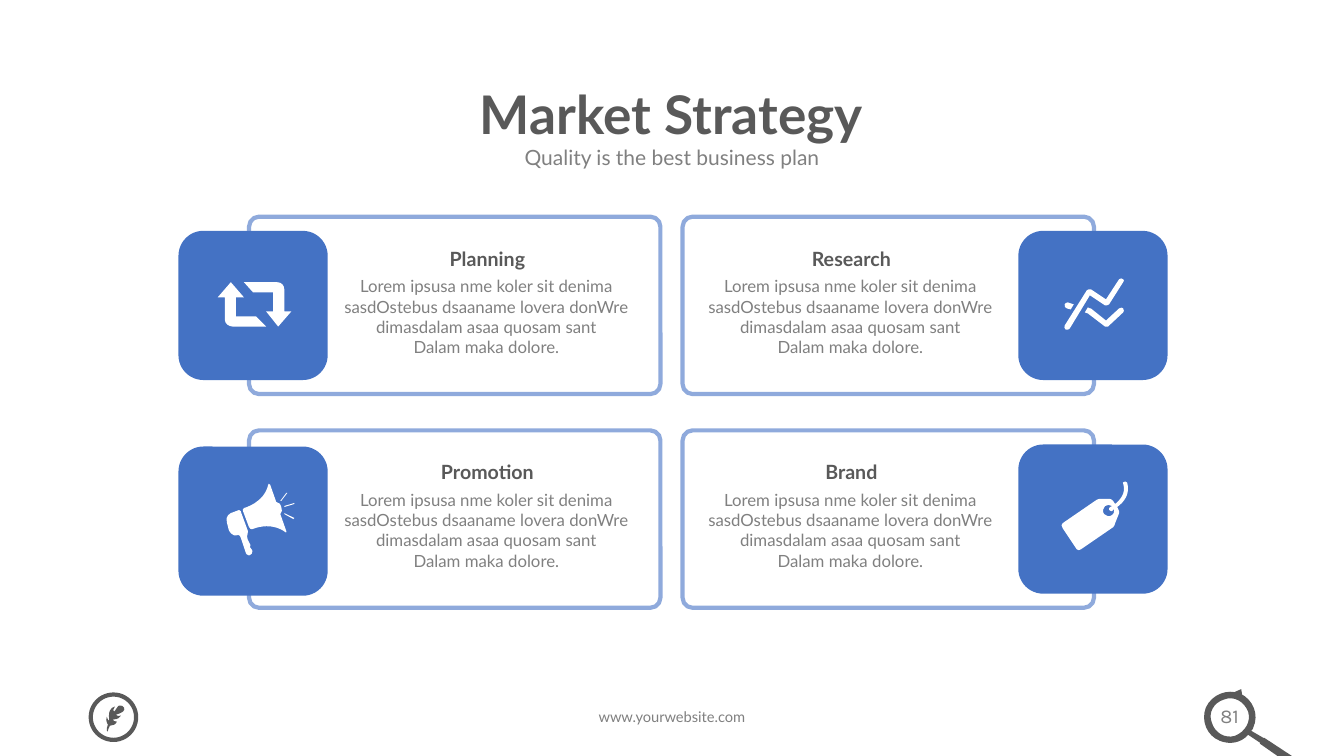
import pptx
import pptx.util
import pptx.dml.color
import pptx.enum.shapes
import pptx.enum.text
import pptx.oxml.ns

Inches = pptx.util.Inches
RGBColor = pptx.dml.color.RGBColor
SHAPE = pptx.enum.shapes.MSO_SHAPE
ANCHOR = pptx.enum.text.MSO_ANCHOR

BLUE = RGBColor(0x44, 0x72, 0xC4)
PALE = RGBColor(0x8F, 0xAA, 0xDC)
DARK = RGBColor(0x59, 0x59, 0x59)
GRAY = RGBColor(0x80, 0x80, 0x80)
WHITE = RGBColor(0xFF, 0xFF, 0xFF)

# Outlines in hundredths of an inch from the corner of their box.
# M starts a closed loop, L adds lines, C adds a cubic curve.
CYCLE = (
    "M 105 80 L 105 58 C 105 54 102 51 98 51 L 65 51 74 61 94 61 94 80 87 80 99 95 112 80 "
    "M 57 85 L 57 66 65 66 52 51 39 66 46 66 46 88 C 46 92 50 95 54 95 L 87 95 77 85",
)
TREND = (
    "M 71 64 L 86 74 C 87 74 89 74 90 73 L 104 51 C 105 50 105 49 104 48 "
    "C 103 47 101 47 100 48 L 87 68 72 58 C 72 58 71 58 70 58 C 69 58 69 59 68 59 "
    "L 46 94 C 45 95 46 97 47 98 C 48 98 48 98 49 98 C 49 98 50 98 51 97 "
    "M 100 77 L 87 89 72 77 71 77 69 76 66 81 69 82 86 95 89 95 104 81 "
    "C 105 80 105 79 104 77 C 103 76 102 76 100 77 "
    "M 48 77 L 52 78 55 73 49 71 C 48 71 46 72 46 73 C 46 75 46 76 48 77",
)
HORN = (
    "M 68 89 C 68 89 69 86 69 84 L 62 65 C 62 65 62 63 60 63 L 52 66 "
    "C 52 66 46 69 48 75 L 50 83 C 50 83 53 90 59 88 C 59 88 61 87 62 91 L 67 106 "
    "C 67 106 68 108 70 108 C 70 108 77 106 71 100 C 73 97 68 94 68 89",
    "M 101 67 C 103 65 103 63 102 60 C 102 57 100 56 97 55 L 91 38 "
    "C 90 35 89 38 89 38 C 85 56 65 61 65 61 C 63 62 64 64 64 64 L 70 80 "
    "C 70 82 73 82 73 82 C 94 74 106 85 106 85 C 106 85 108 86 107 84",
    "M 108 46 L 107 46 101 54 102 54",
    "M 105 67 L 114 72 115 71 105 66",
    "M 105 60 L 115 57 115 56 105 59",
)
TAG = (
    "M 93 70 C 90 72 87 71 85 69 C 83 66 84 63 86 61 C 88 59 91 60 93 61 "
    "C 92 62 91 62 91 62 C 90 62 90 64 90 65 C 91 65 91 66 92 66 L 93 66 "
    "C 94 65 94 65 95 64 C 95 67 95 69 93 70 "
    "M 108 38 C 107 37 106 36 105 37 C 104 37 103 38 104 39 C 107 48 101 55 96 59 "
    "L 94 56 C 93 55 92 54 91 54 L 80 54 C 79 54 77 55 76 56 L 44 78 "
    "C 43 79 42 81 44 83 L 58 104 C 59 105 61 105 62 104 L 94 82 "
    "C 95 81 96 79 96 78 L 100 68 C 100 67 100 65 99 64 L 98 62 C 105 57 111 49 108 38",
)
PLUME = (
    "M 17 36 C 17 35 18 33 19 31 C 22 30 24 31 26 27 C 24 27 22 26 22 25 "
    "C 22 24 27 26 30 21 C 26 22 25 20 25 20 C 27 19 30 19 32 17 C 33 16 34 14 33 13 "
    "C 33 12 30 10 28 11 C 27 11 24 17 23 17 C 22 17 22 14 24 12 C 22 12 20 14 19 16 "
    "C 17 19 19 26 18 26 C 18 27 16 23 16 22 C 15 24 15 26 17 30 C 16 32 16 34 16 36 "
    "C 16 37 17 37 17 36"
)
LENS = (
    "M 36 47 C 26 50 16 44 13 34 C 9 24 15 14 25 11 C 35 7 45 13 49 23 C 52 33 46 43 36 47 "
    "M 103 74 C 100 72 65 49 65 49 L 64 49 52 42 C 53 41 54 40 54 39 "
    "C 60 26 54 11 41 5 C 28 0 13 6 7 19 C 2 32 8 47 21 52 C 31 56 42 54 49 46 "
    "L 61 54 C 60 55 61 55 61 55 C 61 55 95 79 99 81 C 101 82 102 81 103 79 "
    "C 103 79 106 77 103 74"
)
BODY = ("Lorem ipsusa nme koler sit denima sasdOstebus dsaaname lovera donWre "
        "dimasdalam asaa quosam sant\nDalam maka dolore.")


def write(slide, text, x, y, w, h, size=12, color=GRAY, font="Lato", bold=False,
          spacing=None, anchor=ANCHOR.TOP, inset=(0.1, 0.05)):
    box = slide.shapes.add_textbox(Inches(x), Inches(y), Inches(w), Inches(h))
    frame = box.text_frame
    frame.word_wrap = True
    frame.vertical_anchor = anchor
    frame.margin_left = frame.margin_right = Inches(inset[0])
    frame.margin_top = frame.margin_bottom = Inches(inset[1])
    frame.text = text
    for para in frame.paragraphs:
        para.alignment = pptx.enum.text.PP_ALIGN.CENTER
        if spacing:
            para.line_spacing = spacing
        for run in para.runs:
            run.font.size = pptx.util.Pt(size)
            run.font.name = font
            run.font.bold = bold
            run.font.color.rgb = color


def style(shape, fill=None, line=None):
    shape.shadow.inherit = False
    if fill is None:
        shape.fill.background()
    else:
        shape.fill.solid()
        shape.fill.fore_color.rgb = fill
    if line is None:
        shape.line.fill.background()
    else:
        shape.line.color.rgb = line
        shape.line.width = pptx.util.Pt(3)


def add(slide, kind, x, y, w, h, fill=None, line=None):
    shape = slide.shapes.add_shape(kind, Inches(x), Inches(y), Inches(w), Inches(h))
    style(shape, fill, line)
    return shape


def trace(loop):
    """Return the points of one loop, and whether each after the first is on a curve."""
    points, bent, mode = [], [], "L"
    tokens = iter(loop.split())
    for token in tokens:
        if token in "LC":
            mode = token
        else:
            points.append((int(token), int(next(tokens))))
            bent.append(mode == "C")
    return points, bent[1:]


def bend(shape, flags):
    """Join each three flagged line ends into one cubic curve."""
    qn = pptx.oxml.ns.qn
    ends = list(shape.element.iter(qn("a:lnTo")))
    curved = [end for end, flag in zip(ends, flags) if flag]
    for start in range(0, len(curved), 3):
        first, *rest = curved[start:start + 3]
        first.tag = qn("a:cubicBezTo")
        for end in rest:
            first.append(end[0])
            end.getparent().remove(end)


def draw(slide, outline, x, y, fill):
    build, flags = None, []
    for loop in outline.split("M")[1:]:
        marks, bent = trace(loop)
        points = [(Inches(x + a / 100), Inches(y + b / 100)) for a, b in marks]
        if build is None:
            build = slide.shapes.build_freeform(*points[0])
        else:
            build.move_to(*points[0])
        build.add_line_segments(points[1:], close=True)
        flags += bent
    shape = build.convert_to_shape()
    bend(shape, flags)
    style(shape, fill)


def card(slide, x, y, title, icon, left, drop):
    """Framed text with an icon badge over its left or right side."""
    frame = add(slide, SHAPE.ROUNDED_RECTANGLE, x, y, 4.08, 1.76, line=PALE)
    frame.adjustments[0] = 0.056
    text = x + (0.79 if left else 0.1)
    write(slide, title, text + 0.01, y + 0.13, 3.13, 0.45, size=14, color=DARK,
          bold=True, spacing=1.5)
    write(slide, BODY, text, y + 0.54, 3.13, 0.91)
    badge = x + (-0.7 if left else 3.33)
    add(slide, SHAPE.ROUNDED_RECTANGLE, badge, y + drop, 1.48, 1.48, fill=BLUE)
    for outline in icon:
        draw(slide, outline, badge, y + drop, WHITE)


def header(slide, x, y):
    write(slide, "Market Strategy", x, y, 10, 0.82, size=38, color=DARK, bold=True,
          spacing=0.9, anchor=ANCHOR.MIDDLE)
    write(slide, "Quality is the best business plan", x + 1.01, y + 0.61, 7.99, 0.39,
          size=15, inset=(0.13, 0.07))


def footer(slide, x, y):
    add(slide, SHAPE.OVAL, x, y, 0.45, 0.45, line=DARK)
    draw(slide, PLUME, x, y, DARK)
    write(slide, "www.yourwebsite.com", x + 3.35, y + 0.08, 4.83, 0.29, size=10.5)
    lens = x + 10.99
    write(slide, "81", lens, y + 0.04, 0.61, 0.34, size=14, font="Karla")
    tip = add(slide, SHAPE.RIGHT_ARROW, lens + 0.34, y - 0.06, 0.11, 0.11, fill=DARK)
    tip.adjustments[0], tip.adjustments[1] = 0.32, 0.64
    tip.rotation = 298.7
    draw(slide, LENS, lens, y - 0.06, DARK)


def main():
    deck = pptx.Presentation()
    deck.slide_width, deck.slide_height = Inches(13.33), Inches(7.5)
    slide = deck.slides.add_slide(deck.slide_layouts[6])
    header(slide, 1.66, 0.75)
    cards = (("Planning", CYCLE, 0.14), ("Research", TREND, 0.14),
             ("Promotion", HORN, 0.16), ("Brand", TAG, 0.14))
    for index, (title, icon, drop) in enumerate(cards):
        row, col = divmod(index, 2)
        card(slide, 2.47 + 4.3 * col, 2.15 + 2.12 * row, title, icon, col == 0, drop)
    footer(slide, 0.9, 6.89)
    deck.save("out.pptx")


if __name__ == "__main__":
    main()
